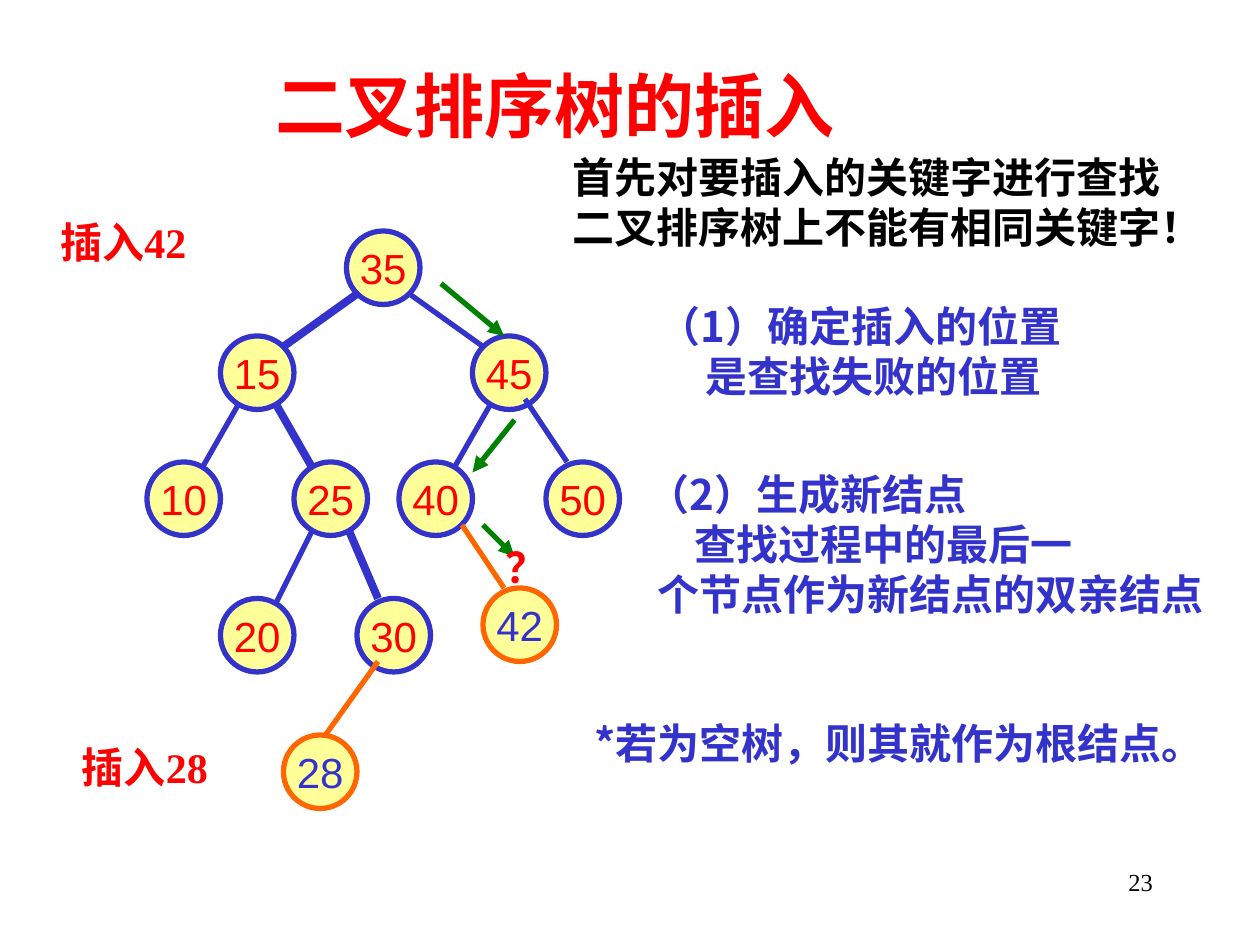
"""Build the slide on inserting keys into a binary search tree."""
from lxml.etree import SubElement
from pptx import Presentation
from pptx.dml.color import RGBColor
from pptx.enum.shapes import MSO_CONNECTOR, MSO_SHAPE
from pptx.enum.text import MSO_ANCHOR, MSO_AUTO_SIZE, PP_ALIGN
from pptx.oxml.ns import qn
from pptx.util import Cm, Pt

UNIT = 2.54 / 12
RED, BLUE, ORANGE, GREEN, BLACK = "FF0000", "3333CC", "FF6600", "008000", "000000"
SERIF, SANS, CHINESE = "Times New Roman", "Arial", "Noto Sans CJK SC"


def color(value):
    return RGBColor.from_string(value)


def write(frame, lines, size, name, text_color, bold=False, align=PP_ALIGN.LEFT):
    for index, (text, indent) in enumerate(lines):
        paragraph = frame.paragraphs[0] if index == 0 else frame.add_paragraph()
        paragraph.text = text
        paragraph.alignment = align
        if indent:
            properties = paragraph._p.get_or_add_pPr()
            properties.set("marL", str(Cm(indent)))
            properties.set("indent", "0")
        paragraph.font.size = Pt(size)
        paragraph.font.name = name
        paragraph.font.bold = bold
        paragraph.font.color.rgb = color(text_color)


deck = Presentation()
deck.slide_width, deck.slide_height = Cm(25.4), Cm(19.05)
page = deck.slides.add_slide(deck.slide_layouts[5])

title = page.shapes.title
title.left, title.top, title.width, title.height = Cm(5.29), Cm(1.27), Cm(12.5), Cm(1.69)
title.text_frame.auto_size = MSO_AUTO_SIZE.NONE
title.text_frame.vertical_anchor = MSO_ANCHOR.MIDDLE
write(title.text_frame, [("二叉排序树的插入", 0)], 40, SERIF, RED, True)

lower_edges = [
    (47, 38, 43, 45, BLUE, 3), (33, 50, 36, 57, BLUE, 4.5), (30, 50, 26, 58, BLUE, 3),
    (23, 38, 19, 45, BLUE, 3), (26, 38, 30, 45, BLUE, 4.5),
]
tree_nodes = [
    ("35", 33, 22), ("15", 21, 32), ("45", 45, 32), ("50", 52, 44), ("40", 38, 44),
    ("25", 28, 44), ("10", 14, 44), ("20", 21, 57), ("30", 34, 57),
]
new_nodes = [("42", 46, 56), ("28", 27, 70)]
upper_edges = [
    (34, 28, 27, 33, BLUE, 4.5), (39, 28, 46, 33, BLUE, 3), (50, 38, 54, 44, BLUE, 3),
    (46, 50, 49, 53, GREEN, 3), (49, 40, 45, 45, GREEN, 3), (42, 27, 48, 32, GREEN, 3),
    (44, 50, 48, 56, ORANGE, 3), (36, 63, 31, 70, ORANGE, 3),
]

for edges, nodes, outline, label_color in (
    (lower_edges, tree_nodes, BLUE, RED),
    (upper_edges, new_nodes, ORANGE, BLUE),
):
    for *ends, edge_color, width in edges:
        edge = page.shapes.add_connector(
            MSO_CONNECTOR.STRAIGHT, *(Cm(end * UNIT) for end in ends))
        edge.line.color.rgb = color(edge_color)
        edge.line.width = Pt(width)
        if edge_color == GREEN:
            SubElement(edge.line._get_or_add_ln(), qn("a:tailEnd"), type="triangle")
        SubElement(edge._element.spPr, qn("a:effectLst"))
    for label, left, top in nodes:
        node = page.shapes.add_shape(
            MSO_SHAPE.OVAL, *(Cm(length * UNIT) for length in (left, top, 7, 7)))
        node.shadow.inherit = False
        node.fill.solid()
        node.fill.fore_color.rgb = color("FFFF99")
        node.line.color.rgb = color(outline)
        node.line.width = Pt(3)
        node.text_frame.word_wrap = False
        node.text_frame.vertical_anchor = MSO_ANCHOR.MIDDLE
        write(node.text_frame, [(label, 0)], 24, SANS, label_color, align=PP_ALIGN.CENTER)

notes = [
    (0.97, 4.23, 3.25, 1.27, SERIF, RED, [("插入42", 0)]),
    (13.03, 5.93, 9.4, 2.29, CHINESE, BLUE,
     [("（1）确定插入的位置", 0), ("是查找失败的位置", 0.95)]),
    (9.95, 10.8, 1.35, 1.27, SERIF, RED, [("？", 0)]),
    (12.8, 9.31, 12.01, 3.3, CHINESE, BLUE,
     [("（2）生成新结点", 0), ("查找过程中的最后一", 0.95),
      ("个节点作为新结点的双亲结点", 0.2)]),
    (1.4, 14.82, 3.25, 1.27, SERIF, RED, [("插入28", 0)]),
    (11.73, 14.33, 13.06, 1.27, CHINESE, BLUE, [("*若为空树，则其就作为根结点。", 0)]),
    (11.3, 2.92, 13.74, 2.29, SERIF, BLACK,
     [("首先对要插入的关键字进行查找", 0), ("二叉排序树上不能有相同关键字！", 0)]),
]
for left, top, width, height, name, text_color, lines in notes:
    box = page.shapes.add_textbox(Cm(left), Cm(top), Cm(width), Cm(height))
    box.text_frame.word_wrap = len(lines) > 1
    write(box.text_frame, lines, 24, name, text_color, True)

number = page.shapes.add_textbox(Cm(18.2), Cm(17.36), Cm(5.29), Cm(1.27))
number.text_frame.word_wrap = True
write(number.text_frame, [("23", 0)], 14, SERIF, BLACK, align=PP_ALIGN.RIGHT)

deck.save("out.pptx")
